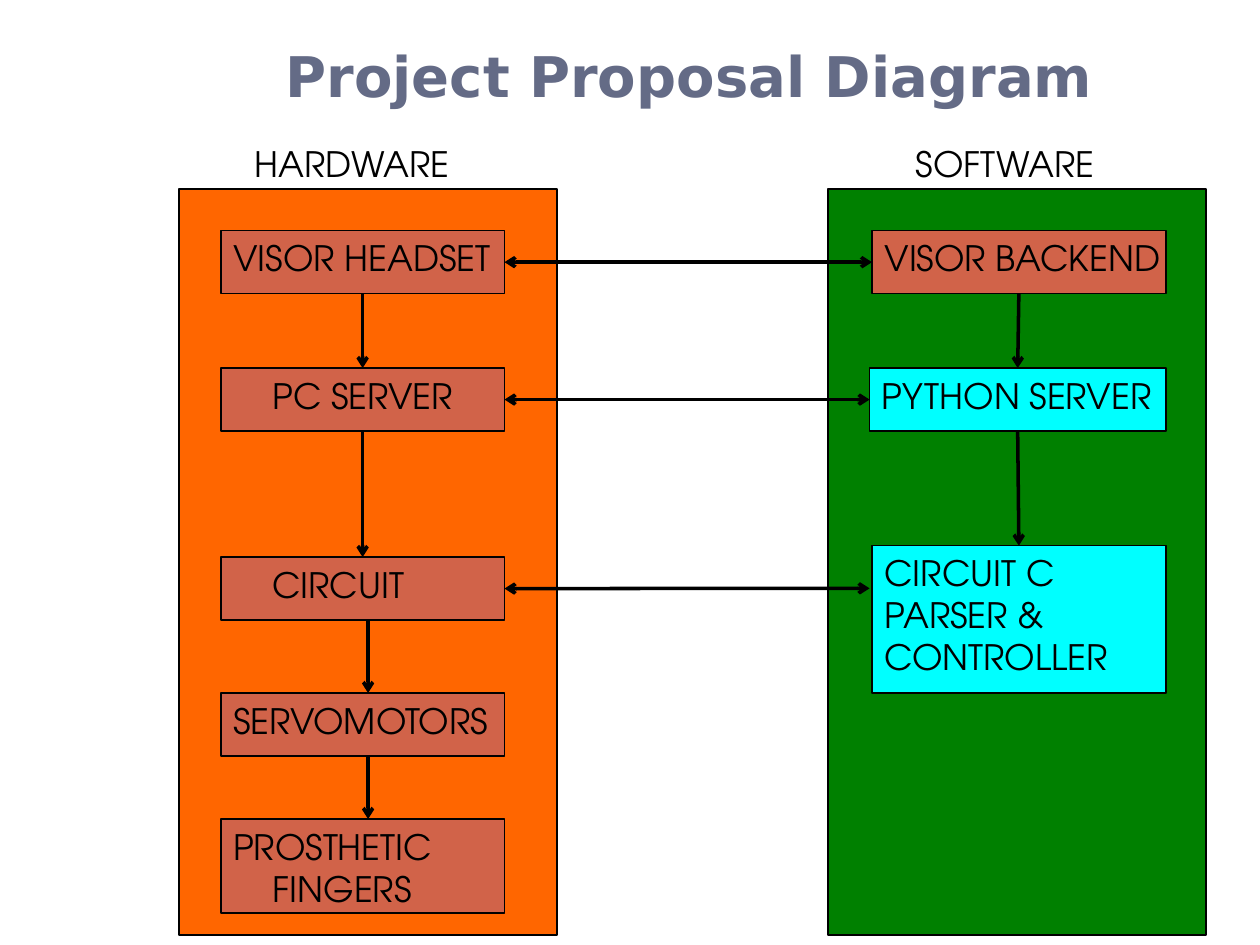
"""Build the project proposal diagram slide with hardware and software columns."""
from lxml.etree import SubElement
from pptx import Presentation
from pptx.dml.color import RGBColor
from pptx.enum.shapes import MSO_CONNECTOR, MSO_SHAPE
from pptx.enum.text import MSO_ANCHOR, PP_ALIGN
from pptx.oxml.ns import qn
from pptx.util import Cm, Pt

BLACK, BRICK, CYAN = "000000", "D16349", "00FFFF"
TOP, LEFT, BOTTOM, RIGHT = range(4)
INDENT = 0.79

TITLE_FORMAT = {"name": "DejaVu Sans", "size": Pt(32), "bold": True}
LABEL_FORMAT = {"name": "TeX Gyre Adventor", "size": Pt(20), "bold": False}

TITLE = ("Project Proposal Diagram", (5.51, -0.43, 18.21, 2.74))
PANELS = [
    ("HARDWARE", 4.88, 3.61, "FF6600"),
    ("SOFTWARE", 18.21, 16.69, "008000"),
]
HARDWARE_LEFT, HARDWARE_WIDTH = 4.45, 5.72
HARDWARE = [
    ("VISOR HEADSET", 4.65, 1.27, 0, 0),
    ("PC SERVER", 7.42, 1.27, INDENT, 0),
    ("CIRCUIT", 11.23, 1.27, INDENT, 0),
    ("SERVOMOTORS", 13.97, 1.27, 0, 0),
    ("PROSTHETIC FINGERS", 16.51, 1.9, INDENT, -INDENT),
]
SOFTWARE = [
    ("VISOR BACKEND", (17.58, 4.65, 5.92, 1.27), BRICK),
    ("PYTHON SERVER", (17.53, 7.42, 5.97, 1.27), CYAN),
    ("CIRCUIT C PARSER & CONTROLLER", (17.58, 11, 5.92, 2.97), CYAN),
]
LINKS = [
    (("VISOR HEADSET", RIGHT), ("VISOR BACKEND", LEFT), True),
    (("PC SERVER", RIGHT), ("PYTHON SERVER", LEFT), True),
    (("CIRCUIT", RIGHT), (17.53, 11.86), True),
    (("VISOR BACKEND", BOTTOM), ("PYTHON SERVER", TOP), False),
    (("PYTHON SERVER", BOTTOM), ("CIRCUIT C PARSER & CONTROLLER", TOP), False),
    (("VISOR HEADSET", BOTTOM), ("PC SERVER", TOP), False),
    (("PC SERVER", BOTTOM), ("CIRCUIT", TOP), False),
    ((7.42, 12.5), (7.42, 13.97), False),
    ((7.42, 15.24), (7.42, 16.51), False),
]


def color(value):
    return RGBColor.from_string(value)


def write(shape, text, formats, text_color=BLACK, anchor=MSO_ANCHOR.TOP):
    frame = shape.text_frame
    frame.word_wrap = True
    frame.vertical_anchor = anchor
    frame.margin_right = 0
    paragraph = frame.paragraphs[0]
    paragraph.alignment = PP_ALIGN.LEFT
    run = paragraph.add_run()
    run.text = text
    for name, value in formats.items():
        setattr(run.font, name, value)
    run.font.color.rgb = color(text_color)
    return paragraph


def add_rectangle(slide, bounds, fill):
    shape = slide.shapes.add_shape(MSO_SHAPE.RECTANGLE, *map(Cm, bounds))
    shape.shadow.inherit = False
    shape.fill.solid()
    shape.fill.fore_color.rgb = color(fill)
    shape.line.color.rgb = color(BLACK)
    shape.line.width = Pt(1)
    return shape


def add_box(slide, text, bounds, fill, margin=0, first_line=0):
    shape = add_rectangle(slide, bounds, fill)
    paragraph = write(shape, text, LABEL_FORMAT)
    properties = paragraph._p.get_or_add_pPr()
    properties.set("marL", str(Cm(margin)))
    properties.set("indent", str(Cm(first_line)))
    return shape


def add_text(slide, text, bounds, *style):
    shape = slide.shapes.add_textbox(*map(Cm, bounds))
    write(shape, text, *style)


def add_link(slide, boxes, start, end, double):
    points = [(0, 0) if isinstance(place[0], str) else place for place in (start, end)]
    link = slide.shapes.add_connector(
        MSO_CONNECTOR.STRAIGHT, *(Cm(value) for point in points for value in point)
    )
    for place, connect in ((start, link.begin_connect), (end, link.end_connect)):
        if isinstance(place[0], str):
            connect(boxes[place[0]], place[1])
    link.line.color.rgb = color(BLACK)
    link.line.width = Pt(2)
    line = link.line._get_or_add_ln()
    for tag in ("a:headEnd", "a:tailEnd") if double else ("a:tailEnd",):
        SubElement(line, qn(tag), type="arrow")
    SubElement(link._element.spPr, qn("a:effectLst"))


def main():
    presentation = Presentation()
    presentation.slide_width, presentation.slide_height = Cm(25.4), Cm(19.05)
    slide = presentation.slides.add_slide(presentation.slide_layouts[6])
    add_text(slide, *TITLE, TITLE_FORMAT, "646B86", MSO_ANCHOR.BOTTOM)
    for label, label_left, panel_left, fill in PANELS:
        add_rectangle(slide, (panel_left, 3.81, 7.62, 15.04), fill)
        add_text(slide, label, (label_left, 2.74, 7.62, 1.12), LABEL_FORMAT)
    boxes = {}
    for text, top, height, margin, first_line in HARDWARE:
        bounds = (HARDWARE_LEFT, top, HARDWARE_WIDTH, height)
        boxes[text] = add_box(slide, text, bounds, BRICK, margin, first_line)
    for text, bounds, fill in SOFTWARE:
        boxes[text] = add_box(slide, text, bounds, fill)
    for link in LINKS:
        add_link(slide, boxes, *link)
    presentation.save("out.pptx")


if __name__ == "__main__":
    main()
